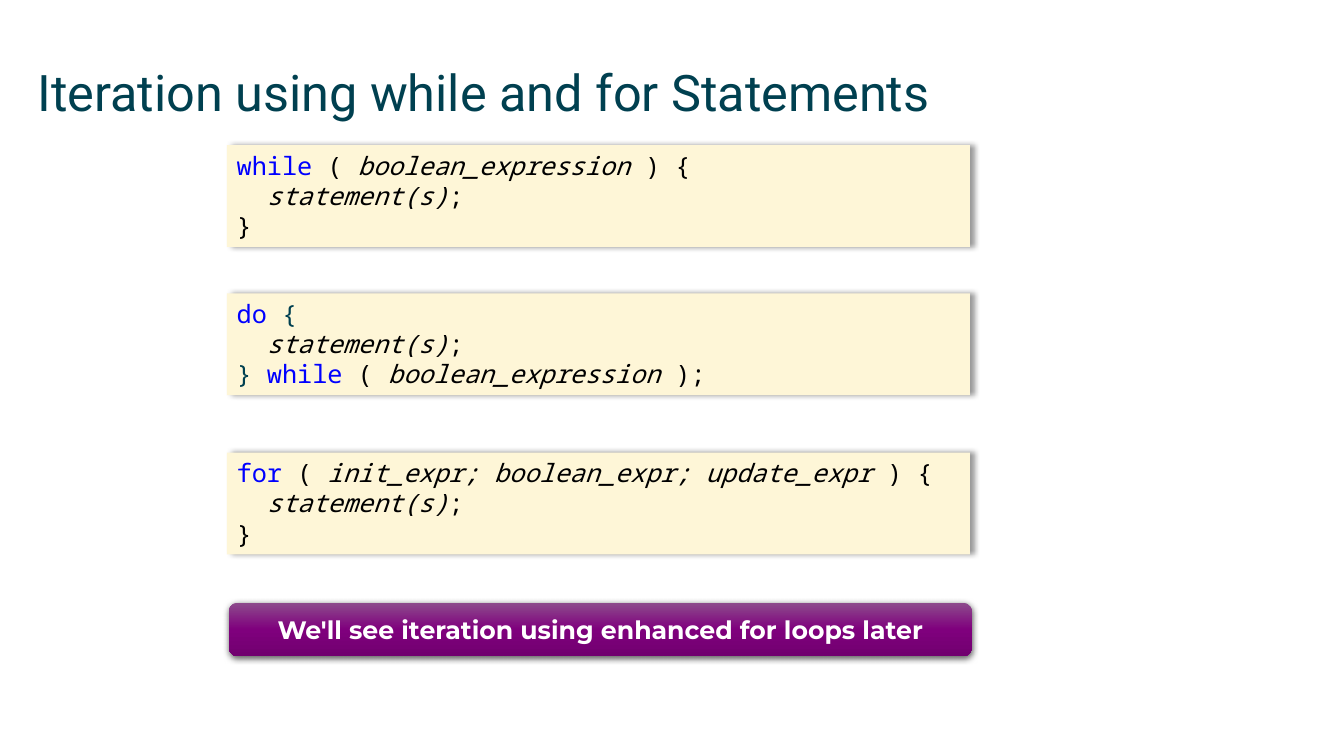
from dataclasses import dataclass

import lxml.etree
import pptx
import pptx.dml.color
import pptx.enum.shapes
import pptx.enum.text
import pptx.oxml
import pptx.oxml.ns
import pptx.util

SHAPE = pptx.enum.shapes.MSO_SHAPE
ALIGN = pptx.enum.text.PP_ALIGN
ANCHOR = pptx.enum.text.MSO_ANCHOR


@dataclass(frozen=True)
class Theme:
    ink: str = "004050"
    keyword: str = "0000FF"
    code: str = "000000"
    panel: str = "FEF6D7"
    light: str = "FFFFFF"
    gradient: tuple = ((0, "8D4B8C"), (50, "7F007D"), (100, "71006F"))
    title_font: str = "Roboto"
    code_font: str = "Noto Sans Mono"
    note_font: str = "Montserrat"
    title_size: float = 36
    text_size: float = 18
    line_pitch: float = 21.6
    statement_indent: float = 21.6


@dataclass(frozen=True)
class Area:
    """Place and size in percent of the slide."""
    left: float
    top: float
    width: float
    height: float


@dataclass(frozen=True)
class Shadow:
    opacity: int
    blur: float
    distance: float
    angle: int


@dataclass(frozen=True)
class Span:
    text: str
    color: str
    italic: bool = False


@dataclass(frozen=True)
class Line:
    spans: tuple
    indented: bool = False


@dataclass(frozen=True)
class Panel:
    top: float
    lines: tuple


THEME = Theme()
PANEL_LEFT, PANEL_WIDTH, PANEL_HEIGHT = 16.88, 55.29, 13.47
TITLE_AREA = Area(2.78, 8.13, 94.52, 11.73)
NOTE_AREA = Area(17.03, 79.73, PANEL_WIDTH, 7.07)
PANEL_SHADOW = Shadow(40, 4, 3, 0)
NOTE_SHADOW = Shadow(63, 4.5, 1.5, 90)


# Loop syntax
def keyword(text: str) -> Span:
    return Span(text, THEME.keyword)


def plain(text: str) -> Span:
    return Span(text, THEME.code)


def slot(text: str) -> Span:
    return Span(text, THEME.code, italic=True)


def brace(text: str) -> Span:
    return Span(text, THEME.ink)


STATEMENT = Line((slot("statement(s)"), plain(";")), indented=True)
CLOSING = Line((plain("}"),))
PANELS = (
    Panel(19.2, (
        Line((keyword("while "), plain("( "), slot("boolean_expression "), plain(") {"))),
        STATEMENT, CLOSING)),
    Panel(38.8, (
        Line((keyword("do "), brace("{"))),
        STATEMENT,
        Line((brace("}"), keyword(" while "), plain("( "),
              slot("boolean_expression "), plain(");"))))),
    Panel(59.87, (
        Line((keyword("for "), plain("( "),
              slot("init_expr; boolean_expr; update_expr "), plain(") {"))),
        STATEMENT, CLOSING)),
)


# Formatting helpers
def apply(target, values: dict) -> None:
    for name, value in values.items():
        setattr(target, name, value)


def rgb(color: str):
    return pptx.dml.color.RGBColor.from_string(color)


def bounds(deck, area: Area) -> dict:
    return {
        "left": int(deck.slide_width * area.left / 100),
        "top": int(deck.slide_height * area.top / 100),
        "width": int(deck.slide_width * area.width / 100),
        "height": int(deck.slide_height * area.height / 100),
    }


def add_span(para, text: str, color: str, **font_values) -> None:
    span = para.add_run()
    span.text = text
    apply(span.font, font_values)
    span.font.color.rgb = rgb(color)


def add_shadow(box, shadow: Shadow) -> None:
    box.shadow.inherit = False
    effects = box._element.spPr.find(pptx.oxml.ns.qn("a:effectLst"))
    effects.append(pptx.oxml.parse_xml(
        f'<a:outerShdw {pptx.oxml.ns.nsdecls("a")} blurRad="{pptx.util.Pt(shadow.blur)}"'
        f' dist="{pptx.util.Pt(shadow.distance)}" dir="{shadow.angle * 60000}"'
        f' algn="ctr" rotWithShape="0"><a:srgbClr val="000000">'
        f'<a:alpha val="{shadow.opacity * 1000}"/></a:srgbClr></a:outerShdw>'))


def fill_gradient(box, stops: tuple) -> None:
    box.fill.gradient()
    box.fill.gradient_angle = 270
    stop_list = box._element.spPr.find(".//" + pptx.oxml.ns.qn("a:gsLst"))
    for old_stop in list(stop_list):
        stop_list.remove(old_stop)
    for position, color in stops:
        stop = lxml.etree.SubElement(
            stop_list, pptx.oxml.ns.qn("a:gs"), pos=str(position * 1000))
        lxml.etree.SubElement(stop, pptx.oxml.ns.qn("a:srgbClr"), val=color)


def add_box(deck, page, kind, area: Area, shadow: Shadow):
    box = page.shapes.add_shape(kind, **bounds(deck, area))
    box.line.fill.background()
    add_shadow(box, shadow)
    return box


# Slide parts
def add_title(deck, page) -> None:
    title = page.shapes.title
    apply(title, bounds(deck, TITLE_AREA))
    apply(title.text_frame, {
        "margin_left": 0, "margin_top": 0, "margin_right": 0, "margin_bottom": 0,
        "vertical_anchor": ANCHOR.TOP, "word_wrap": True})
    para = title.text_frame.paragraphs[0]
    para.alignment = ALIGN.LEFT
    add_span(para, "Iteration using while and for Statements", THEME.ink,
             name=THEME.title_font, size=pptx.util.Pt(THEME.title_size))


def add_panel(deck, page, panel: Panel) -> None:
    area = Area(PANEL_LEFT, panel.top, PANEL_WIDTH, PANEL_HEIGHT)
    box = add_box(deck, page, SHAPE.RECTANGLE, area, PANEL_SHADOW)
    box.fill.solid()
    box.fill.fore_color.rgb = rgb(THEME.panel)
    frame = box.text_frame
    apply(frame, {"vertical_anchor": ANCHOR.TOP, "word_wrap": True})
    for index, line in enumerate(panel.lines):
        para = frame.add_paragraph() if index else frame.paragraphs[0]
        apply(para, {"alignment": ALIGN.LEFT,
                     "line_spacing": pptx.util.Pt(THEME.line_pitch)})
        if line.indented:
            para._p.get_or_add_pPr().set("marL", str(pptx.util.Pt(THEME.statement_indent)))
        for span in line.spans:
            add_span(para, span.text, span.color, name=THEME.code_font,
                     size=pptx.util.Pt(THEME.text_size), italic=span.italic)


def add_note(deck, page) -> None:
    box = add_box(deck, page, SHAPE.ROUNDED_RECTANGLE, NOTE_AREA, NOTE_SHADOW)
    fill_gradient(box, THEME.gradient)
    apply(box.text_frame, {"vertical_anchor": ANCHOR.MIDDLE, "word_wrap": True})
    para = box.text_frame.paragraphs[0]
    para.alignment = ALIGN.CENTER
    add_span(para, "We'll see iteration using enhanced for loops later", THEME.light,
             name=THEME.note_font, size=pptx.util.Pt(THEME.text_size), bold=True)


def main() -> None:
    deck = pptx.Presentation()
    apply(deck, {"slide_width": pptx.util.Inches(13.33),
                 "slide_height": pptx.util.Inches(7.5)})
    page = deck.slides.add_slide(deck.slide_layouts.get_by_name("Title Only"))
    add_title(deck, page)
    for panel in PANELS:
        add_panel(deck, page, panel)
    add_note(deck, page)
    deck.save("out.pptx")


if __name__ == "__main__":
    main()
